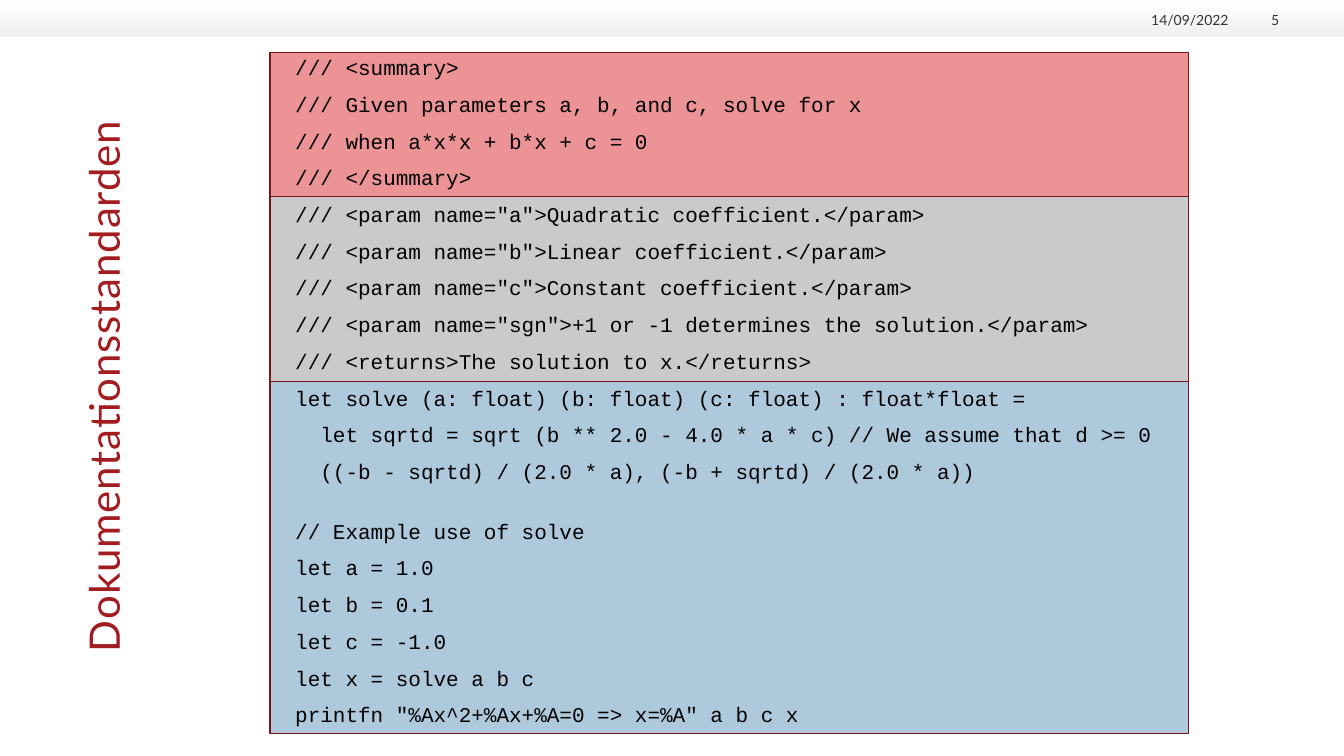
"""Build the slide on the documentation standard with its annotated code."""
from typing import NamedTuple

from pptx import Presentation
from pptx.dml.color import RGBColor
from pptx.enum.shapes import MSO_SHAPE
from pptx.enum.text import MSO_ANCHOR, PP_ALIGN
from pptx.util import Cm, Pt

RECT = MSO_SHAPE.RECTANGLE
TOP, BOTTOM = MSO_ANCHOR.TOP, MSO_ANCHOR.BOTTOM
LEFT, RIGHT = PP_ALIGN.LEFT, PP_ALIGN.RIGHT

WHITE = RGBColor(0xFF, 0xFF, 0xFF)
PALE = RGBColor(0xEF, 0xF0, 0xEF)
DARK = RGBColor(0x33, 0x33, 0x33)
BLACK = RGBColor(0, 0, 0)
RED = RGBColor(0xA3, 0x1D, 0x20)
MAROON = RGBColor(0x79, 0x15, 0x18)
ROSE = RGBColor(0xEC, 0x93, 0x95)
GREY = RGBColor(0xCA, 0xCA, 0xCA)
BLUE = RGBColor(0xAE, 0xC9, 0xDC)


class Band(NamedTuple):
    top: float
    high: float
    fill: RGBColor


class Label(NamedTuple):
    text: str
    left: float
    wide: float


BANDS = [
    Band(1.32, 3.63, ROSE),
    Band(9.62, 8.87, BLUE),
    Band(4.95, 4.67, GREY),
]
LABELS = [Label("14/09/2022", 28.7, 2.26), Label("5", 31.17, 1.07)]
CODE = '''/// <summary>
/// Given parameters a, b, and c, solve for x
/// when a*x*x + b*x + c = 0
/// </summary>
/// <param name="a">Quadratic coefficient.</param>
/// <param name="b">Linear coefficient.</param>
/// <param name="c">Constant coefficient.</param>
/// <param name="sgn">+1 or -1 determines the solution.</param>
/// <returns>The solution to x.</returns>
let solve (a: float) (b: float) (c: float) : float*float =
  let sqrtd = sqrt (b ** 2.0 - 4.0 * a * c) // We assume that d >= 0
  ((-b - sqrtd) / (2.0 * a), (-b + sqrtd) / (2.0 * a))
// Example use of solve
let a = 1.0
let b = 0.1
let c = -1.0
let x = solve a b c
printfn "%Ax^2+%Ax+%A=0 => x=%A" a b c x'''
BREAK = "// Example"


def write(shape, text: str, *, font: str = "Lato", size: float = 10,
          color: RGBColor = DARK, align=LEFT, anchor=TOP,
          inset: tuple[float, float] = (0, 0), pitch: float = 1,
          gap: float = 0, wide_gap: float = 0) -> None:
    """Fill a shape with one paragraph per line of text."""
    frame = shape.text_frame
    frame.word_wrap = True
    frame.vertical_anchor = anchor
    frame.margin_left = frame.margin_right = Cm(inset[0])
    frame.margin_top = frame.margin_bottom = Cm(inset[1])
    for i, line in enumerate(text.split("\n")):
        para = frame.add_paragraph() if i else frame.paragraphs[0]
        run = para.add_run()
        run.text = line
        run.font.name = font
        run.font.size = Pt(size)
        run.font.color.rgb = color
        para.alignment = align
        para.line_spacing = pitch
        if i and gap:
            para.space_before = Pt(wide_gap if line.startswith(BREAK) else gap)


def add_head(slide, width: int) -> None:
    """Draw the shaded strip with the date and the slide number."""
    strip = slide.shapes.add_shape(RECT, 0, 0, width, Cm(0.93))
    strip.shadow.inherit = False
    strip.line.fill.background()
    strip.fill.gradient()
    strip.fill.gradient_angle = 270
    for stop, color in zip(strip.fill.gradient_stops, (WHITE, PALE)):
        stop.color.rgb = color
    for label in LABELS:
        box = slide.shapes.add_textbox(
            Cm(label.left), Cm(0.24), Cm(label.wide), Cm(0.48))
        write(box, label.text, align=RIGHT, anchor=BOTTOM)


def add_band(slide, band: Band) -> None:
    """Draw one coloured band behind the code."""
    shape = slide.shapes.add_shape(
        RECT, Cm(6.81), Cm(band.top), Cm(23.14), Cm(band.high))
    shape.shadow.inherit = False
    shape.fill.solid()
    shape.fill.fore_color.rgb = band.fill
    shape.line.color.rgb = MAROON
    shape.line.width = Pt(1)


def add_title(slide) -> None:
    """Turn the title to read upwards along the left edge."""
    title = slide.shapes.title
    title.left, title.top = Cm(-3.2), Cm(7.59)
    title.width, title.height = Cm(14), Cm(3.68)
    title.rotation = 270
    write(title, "Dokumentationsstandarden", size=30, color=RED)
    font = title.text_frame.paragraphs[0].runs[0].font
    font._element.set("spc", "60")


def main() -> None:
    """Build and save the slide."""
    deck = Presentation()
    deck.slide_width, deck.slide_height = Cm(33.87), Cm(19.05)
    slide = deck.slides.add_slide(deck.slide_layouts[5])
    add_head(slide, deck.slide_width)
    for band in BANDS:
        add_band(slide, band)
    code = slide.shapes.add_textbox(Cm(7.19), Cm(1.32), Cm(23.98), Cm(17.15))
    write(code, CODE, font="Courier New", size=15, color=BLACK,
          inset=(0.25, 0.13), pitch=0.9, gap=10, wide_gap=26.5)
    add_title(slide)
    deck.save("out.pptx")


if __name__ == "__main__":
    main()
